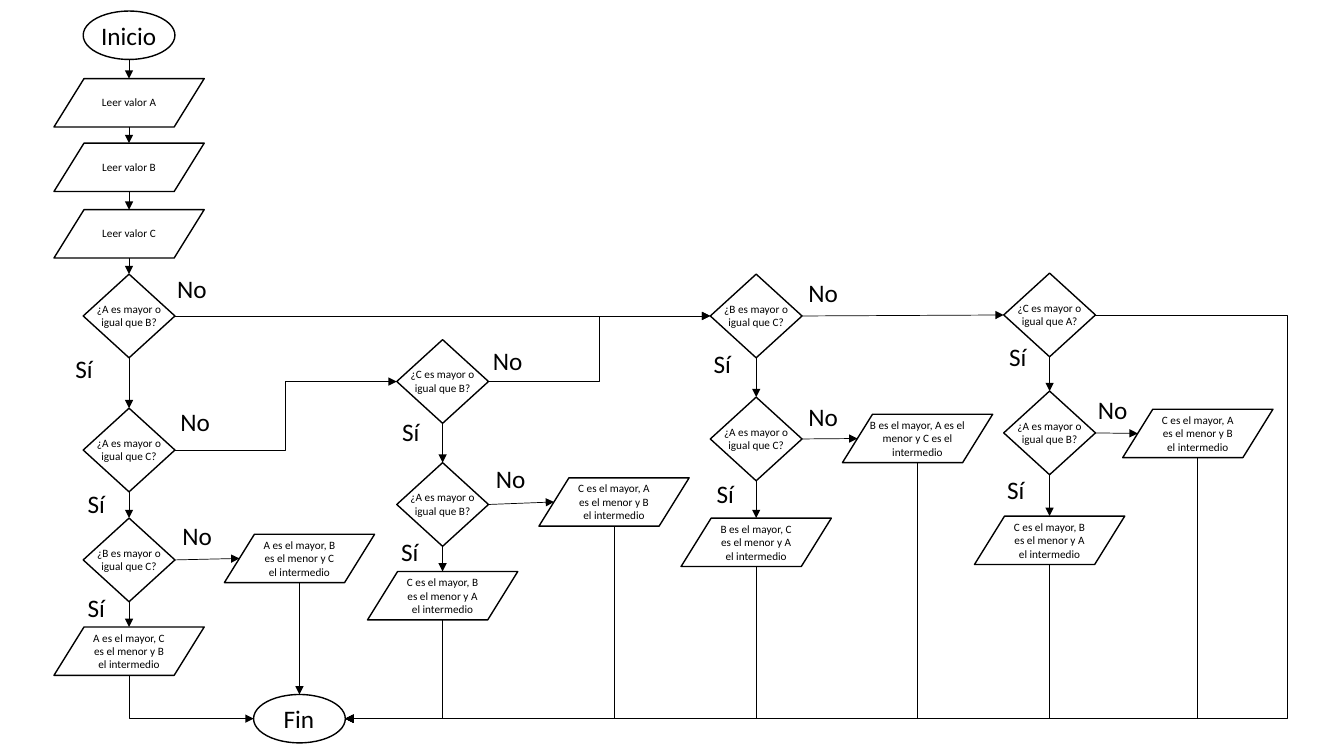
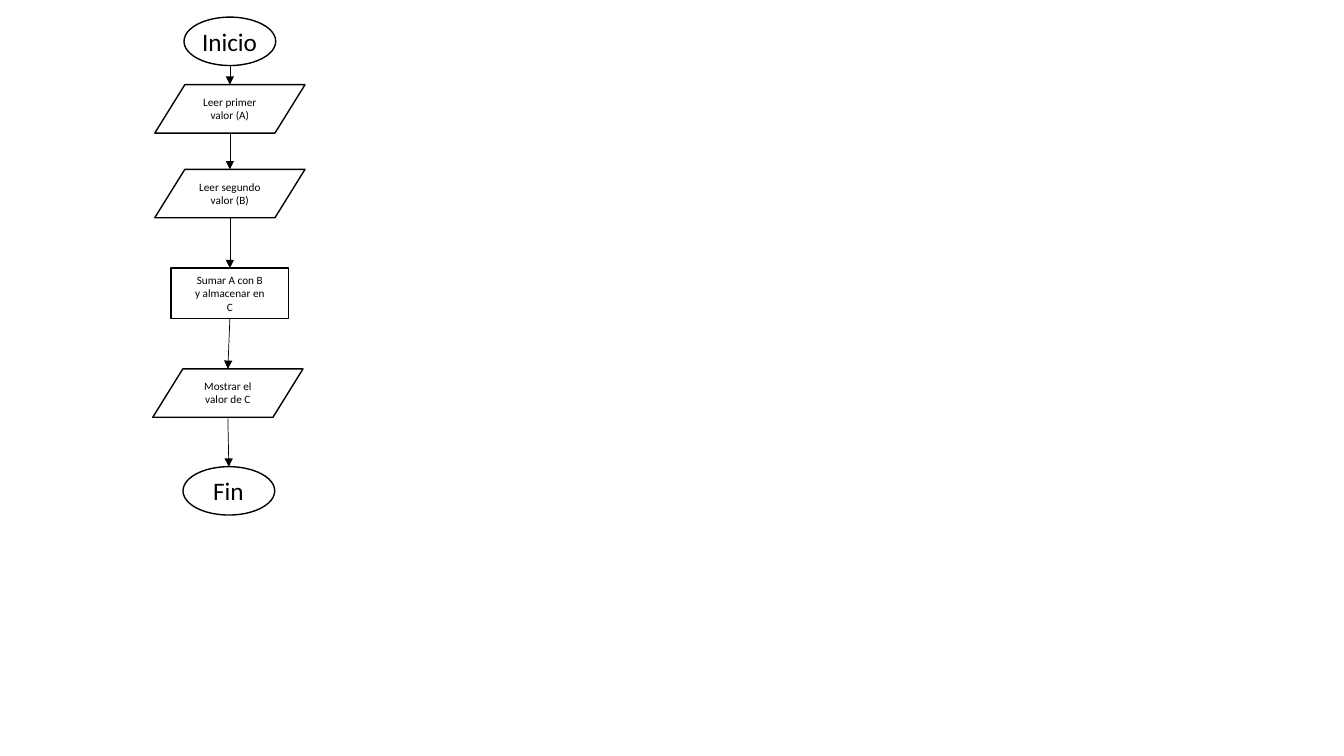
from math import ceil

from lxml.etree import SubElement
from pptx import Presentation
from pptx.dml.color import RGBColor
from pptx.enum.shapes import MSO_CONNECTOR as Link, MSO_SHAPE as Shape
from pptx.enum.text import MSO_AUTO_SIZE as AutoSize, PP_ALIGN as Align
from pptx.oxml.ns import qn
from pptx.util import Inches, Pt

FONT = "Calibri"
INK = RGBColor.from_string("000000")
SMALL, LARGE = 8, 18
LABEL_WIDTH, LABEL_HEIGHT = 0.5, 0.4
IO_SLANT = 0.15  # distance from the frame of a parallelogram to its slanted side
QUESTION = "¿{} es mayor o igual que {}?"
RESULT = "{} es el mayor, {} es el menor y {} el intermedio"

# kind: preset shape, width, height, width of its text
KINDS = {
    "start": (Shape.OVAL, 0.91, 0.48, 0.75),
    "end": (Shape.OVAL, 0.91, 0.48, 0.51),
    "io": (Shape.FLOWCHART_DATA, 1.49, 0.48, 0.91),
    "wide io": (Shape.FLOWCHART_DATA, 1.49, 0.48, 1.14),
    "test": (Shape.FLOWCHART_DECISION, 0.91, 0.83, 0.91),
    "process": (Shape.RECTANGLE, 1.17, 0.5, 0.91),
}

# Centres of the four columns of tests and of the results beside them
COL1, COL2, COL3, COL4 = [1.28, 4.39, 7.5, 10.41]
SIDE1, SIDE2, SIDE3, SIDE4 = [2.97, 6.09, 9.1, 11.88]

# name: kind, centre, top, text
compare_nodes = {
    "start": ("start", COL1, 0.11, "Inicio"),
    "read A": ("io", COL1, 0.78, "Leer valor A"),
    "read B": ("io", COL1, 1.42, "Leer valor B"),
    "read C": ("io", COL1, 2.08, "Leer valor C"),
    "A>=B": ("test", COL1, 2.72, QUESTION.format("A", "B")),
    "A>=C": ("test", COL1, 4.05, QUESTION.format("A", "C")),
    "B>=C": ("test", COL1, 5.14, QUESTION.format("B", "C")),
    "ABC": ("io", COL1, 6.22, RESULT.format("A", "C", "B")),
    "ACB": ("io", SIDE1, 5.3, RESULT.format("A", "B", "C")),
    "C>=B": ("test", COL2, 3.37, QUESTION.format("C", "B")),
    "A>=B second": ("test", COL2, 4.59, QUESTION.format("A", "B")),
    "CAB": ("io", COL2, 5.67, RESULT.format("C", "B", "A")),
    "CBA": ("io", SIDE2, 4.74, RESULT.format("C", "A", "B")),
    "B>=C third": ("test", COL3, 2.72, QUESTION.format("B", "C")),
    "A>=C third": ("test", COL3, 3.94, QUESTION.format("A", "C")),
    "BAC": ("io", COL3, 5.14, RESULT.format("B", "C", "A")),
    "BCA": ("wide io", SIDE3, 4.11, RESULT.format("B", "A", "C es")),
    "C>=A": ("test", COL4, 2.71, QUESTION.format("C", "A")),
    "A>=B fourth": ("test", COL4, 3.88, QUESTION.format("A", "B")),
    "CAB fourth": ("io", COL4, 5.12, RESULT.format("C", "B", "A")),
    "CBA fourth": ("io", SIDE4, 4.06, RESULT.format("C", "A", "B")),
    "end": ("end", SIDE1, 6.89, "Fin"),
}
compare_flows = {
    "down": [
        ("start", "read A"), ("read A", "read B"), ("read B", "read C"),
        ("read C", "A>=B"), ("A>=B", "A>=C"), ("A>=C", "B>=C"),
        ("B>=C", "ABC"), ("ACB", "end"), ("C>=B", "A>=B second"),
        ("A>=B second", "CAB"), ("B>=C third", "A>=C third"),
        ("A>=C third", "BAC"), ("C>=A", "A>=B fourth"),
        ("A>=B fourth", "CAB fourth"),
    ],
    "across": [
        ("A>=B", "B>=C third"), ("B>=C third", "C>=A"), ("B>=C", "ACB"),
        ("A>=B second", "CBA"), ("A>=C third", "BCA"),
        ("A>=B fourth", "CBA fourth"),
    ],
    "step": [("A>=C", "C>=B"), ("C>=B", "B>=C third")],
    "merge": [(name, "end") for name in (
        "ABC", "CAB", "CBA", "BAC", "BCA", "CAB fourth", "CBA fourth")],
    "loop": [("C>=A", "end")],
}
compare_labels = {
    "Sí": [(0.65, 3.46), (0.77, 4.8), (0.77, 5.83), (3.89, 4.08), (3.88, 5.27),
           (6.98, 3.41), (7.01, 4.7), (9.91, 3.34), (9.89, 4.66)],
    "No": [(1.66, 2.66), (1.69, 3.98), (1.71, 5.11), (4.79, 3.38), (4.82, 4.55),
           (7.92, 2.7), (7.92, 3.93), (10.79, 3.86)],
}

SUM_COL = 2.28
sum_nodes = {
    "start": ("start", SUM_COL, 0.17, "Inicio"),
    "read A": ("io", SUM_COL, 0.84, "Leer primer valor (A)"),
    "read B": ("io", SUM_COL, 1.68, "Leer segundo valor (B)"),
    "add": ("process", SUM_COL, 2.66, "Sumar A con B y almacenar en C"),
    "show C": ("io", SUM_COL - 0.02, 3.66, "Mostrar el valor de C"),
    "end": ("end", SUM_COL - 0.01, 4.63, "Fin"),
}
sum_steps = list(sum_nodes)
sum_flows = {"down": list(zip(sum_steps, sum_steps[1:]))}


def add_text(page, text, left, top, width, height, size, wrap=True):
    """Write one paragraph; small text is centred."""
    box = page.shapes.add_textbox(*map(Inches, (left, top, width, height)))
    frame = box.text_frame
    frame.word_wrap = wrap
    frame.auto_size = AutoSize.SHAPE_TO_FIT_TEXT
    paragraph = frame.paragraphs[0]
    paragraph.text = text
    paragraph.alignment = Align.CENTER if size == SMALL else Align.LEFT
    paragraph.font.name = FONT
    paragraph.font.size = Pt(size)
    paragraph.font.color.rgb = INK


def add_flow(page, route, source, target):
    """Draw an arrow between two nodes along the named route."""
    kind, centre, top, _ = source
    _, width, height, _ = KINDS[kind]
    end_kind, end_centre, end_top, _ = target
    _, end_width, end_height, _ = KINDS[end_kind]
    right, middle = centre + width / 2, top + height / 2
    end_left, end_right = end_centre - end_width / 2, end_centre + end_width / 2
    end_middle = end_top + end_height / 2
    if end_kind.endswith("io"):
        end_left += IO_SLANT

    link = Link.STRAIGHT if route in ("down", "across") else Link.ELBOW
    if route == "down":
        ends = centre, top + height, end_centre, end_top
    elif route == "loop":
        ends = right, middle, end_right, end_middle
    elif route == "merge":
        # A quarter turn swaps the sides of the frame around its centre
        end_x = end_left if centre < end_centre else end_right
        start_y = top + height
        mid_x, mid_y = (centre + end_x) / 2, (start_y + end_middle) / 2
        half_x = (end_middle - start_y) / 2
        half_y = abs(centre - end_x) / 2
        turn = 90
        if centre < end_x:
            half_x, turn = -half_x, 270
        ends = mid_x - half_x, mid_y - half_y, mid_x + half_x, mid_y + half_y
    else:
        ends = right, middle, end_left, end_middle

    arrow = page.shapes.add_connector(link, *map(Inches, ends))
    arrow.line.color.rgb = INK
    arrow.line.width = Pt(0.5)
    properties = arrow._element.spPr
    geometry = properties.find(qn("a:prstGeom"))
    if route == "merge":
        geometry.set("prst", "bentConnector2")
        properties.find(qn("a:xfrm")).set("rot", str(turn * 60000))
    elif route == "loop":
        SubElement(geometry.find(qn("a:avLst")), qn("a:gd"),
                   name="adj1", fmla="val -25600")
    SubElement(properties.find(qn("a:ln")), qn("a:tailEnd"), type="triangle")
    SubElement(properties, qn("a:effectLst"))


deck = Presentation()
deck.slide_width, deck.slide_height = Inches(13.33), Inches(7.5)
blank = deck.slide_layouts[6]

for nodes, flows, labels in (
    (compare_nodes, compare_flows, compare_labels),
    (sum_nodes, sum_flows, {}),
):
    page = deck.slides.add_slide(blank)
    for kind, centre, top, text in nodes.values():
        preset, width, height, text_width = KINDS[kind]
        shape = page.shapes.add_shape(
            preset, *map(Inches, (centre - width / 2, top, width, height)))
        shape.shadow.inherit = False
        shape.fill.background()
        shape.line.color.rgb = INK
        shape.line.width = Pt(1)

        terminal = kind in ("start", "end")
        lines = min(3, ceil(len(text) / 14))
        text_height = LABEL_HEIGHT if terminal else 0.11 + 0.13 * lines
        add_text(page, text, centre - text_width / 2,
                 top + (height - text_height) / 2, text_width, text_height,
                 LARGE if terminal else SMALL, wrap=not terminal)

    for route, pairs in flows.items():
        for source, target in pairs:
            add_flow(page, route, nodes[source], nodes[target])

    for text, places in labels.items():
        for left, top in places:
            add_text(page, text, left, top, LABEL_WIDTH, LABEL_HEIGHT, LARGE)

deck.save("out.pptx")
